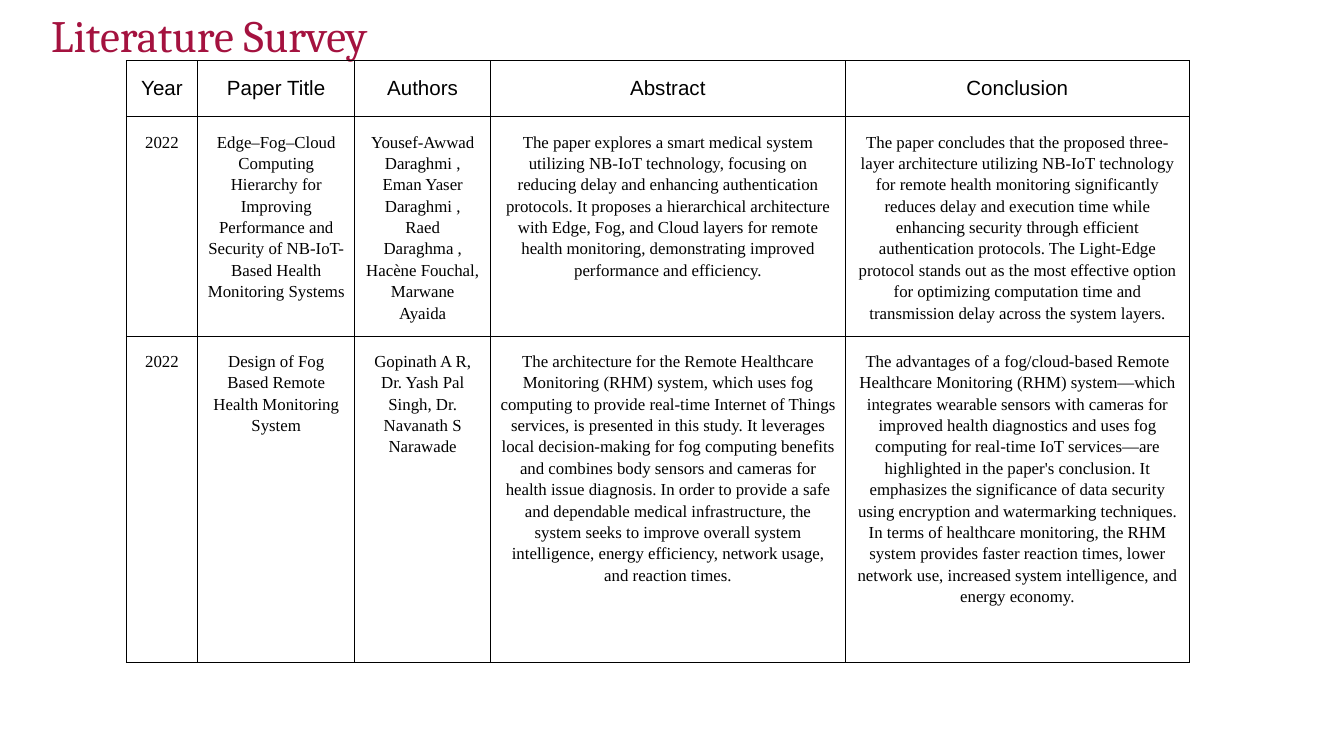
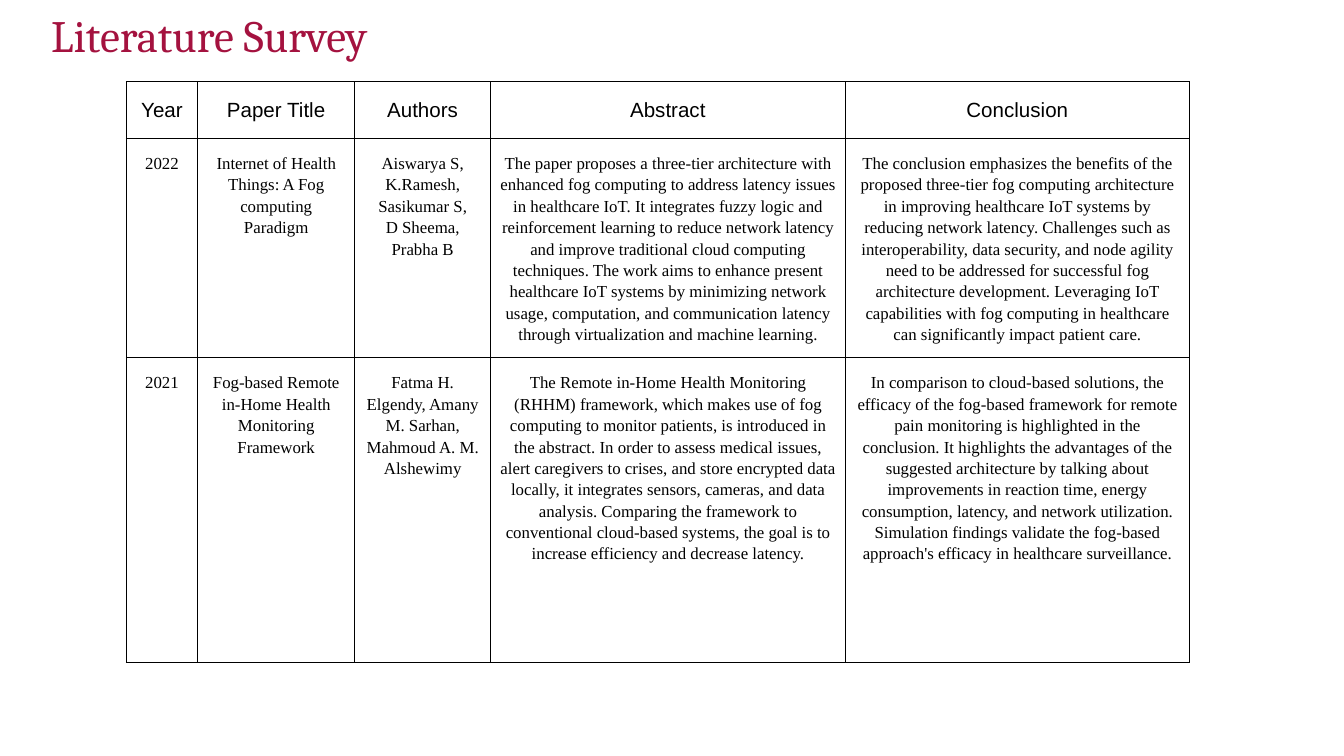
from lxml import etree
from pptx import Presentation
from pptx.dml.color import RGBColor
from pptx.enum import text
from pptx.oxml.ns import qn
from pptx.util import Inches, Pt

COLORS = {"title": "A4123F", "ink": "000000", "border": "000000"}
TITLE = "Literature Survey"
HEADINGS = ("Year", "Paper Title", "Authors", "Abstract", "Conclusion")
COLUMN_WIDTHS = (0.53, 1.17, 1.01, 2.64, 2.56)
TABLE_LEFT = 0.94

SURVEYS = [
    {
        "top": 0.45,
        "row_heights": (0.42, 1.63, 2.43),
        "papers": [
            (
                "2022",
                "Edge–Fog–Cloud Computing Hierarchy for Improving Performance and "
                "Security of NB-IoT-Based Health Monitoring Systems",
                "Yousef-Awwad Daraghmi , Eman Yaser Daraghmi ,\nRaed Daraghma , "
                "Hacène Fouchal, Marwane\nAyaida",
                "The paper explores a smart medical system utilizing NB-IoT technology, "
                "focusing on reducing delay and enhancing authentication protocols. It "
                "proposes a hierarchical architecture with Edge, Fog, and Cloud layers for "
                "remote health monitoring, demonstrating improved performance and efficiency.",
                "The paper concludes that the proposed three-layer architecture utilizing "
                "NB-IoT technology for remote health monitoring significantly reduces delay "
                "and execution time while enhancing security through efficient "
                "authentication protocols. The Light-Edge protocol stands out as the most "
                "effective option for optimizing computation time and transmission delay "
                "across the system layers.",
            ),
            (
                "2022",
                "Design of Fog Based Remote Health Monitoring System",
                "Gopinath A R, Dr. Yash Pal Singh, Dr. Navanath S Narawade",
                "The architecture for the Remote Healthcare Monitoring (RHM) system, which "
                "uses fog computing to provide real-time Internet of Things services, is "
                "presented in this study. It leverages local decision-making for fog "
                "computing benefits and combines body sensors and cameras for health issue "
                "diagnosis. In order to provide a safe and dependable medical "
                "infrastructure, the system seeks to improve overall system intelligence, "
                "energy efficiency, network usage, and reaction times.",
                "The advantages of a fog/cloud-based Remote Healthcare Monitoring (RHM) "
                "system—which integrates wearable sensors with cameras for improved health "
                "diagnostics and uses fog computing for real-time IoT services—are "
                "highlighted in the paper's conclusion. It emphasizes the significance of "
                "data security using encryption and watermarking techniques. In terms of "
                "healthcare monitoring, the RHM system provides faster reaction times, "
                "lower network use, increased system intelligence, and energy economy.",
            ),
        ],
    },
    {
        "top": 0.61,
        "row_heights": (0.42, 1.63, 2.27),
        "papers": [
            (
                "2022",
                "Internet of Health Things: A Fog computing Paradigm",
                "Aiswarya S, K.Ramesh, Sasikumar S,\nD Sheema, Prabha B",
                "The paper proposes a three-tier architecture with enhanced fog computing "
                "to address latency issues in healthcare IoT. It integrates fuzzy logic and "
                "reinforcement learning to reduce network latency and improve traditional "
                "cloud computing techniques. The work aims to enhance present healthcare "
                "IoT systems by minimizing network usage, computation, and communication "
                "latency through virtualization and machine learning.",
                "The conclusion emphasizes the benefits of the proposed three-tier fog "
                "computing architecture in improving healthcare IoT systems by reducing "
                "network latency. Challenges such as interoperability, data security, and "
                "node agility need to be addressed for successful fog architecture "
                "development. Leveraging IoT capabilities with fog computing in healthcare "
                "can significantly impact patient care.",
            ),
            (
                "2021",
                "Fog-based Remote in-Home Health Monitoring Framework",
                "Fatma H. Elgendy, Amany M. Sarhan, Mahmoud A. M. Alshewimy",
                "The Remote in-Home Health Monitoring (RHHM) framework, which makes use of "
                "fog computing to monitor patients, is introduced in the abstract. In order "
                "to assess medical issues, alert caregivers to crises, and store encrypted "
                "data locally, it integrates sensors, cameras, and data analysis. Comparing "
                "the framework to conventional cloud-based systems, the goal is to increase "
                "efficiency and decrease latency.",
                "In comparison to cloud-based solutions, the efficacy of the fog-based "
                "framework for remote pain monitoring is highlighted in the conclusion. It "
                "highlights the advantages of the suggested architecture by talking about "
                "improvements in reaction time, energy consumption, latency, and network "
                "utilization. Simulation findings validate the fog-based approach's "
                "efficacy in healthcare surveillance.",
            ),
        ],
    },
]


def add_run(paragraph, words, font_name, size, color):
    run = paragraph.add_run()
    run.text = words
    run.font.name = font_name
    run.font.size = Pt(size)
    run.font.color.rgb = RGBColor.from_string(COLORS[color])


def set_title(slide):
    title = slide.shapes.title
    title.left, title.top = Inches(0.31), Inches(0.11)
    title.width, title.height = Inches(9.38), Inches(0.35)
    frame = title.text_frame
    frame.auto_size = text.MSO_AUTO_SIZE.NONE
    frame.word_wrap = True
    frame.vertical_anchor = text.MSO_ANCHOR.MIDDLE
    frame.margin_left = frame.margin_right = Inches(0.07)
    frame.margin_top = frame.margin_bottom = Inches(0.04)
    paragraph = frame.paragraphs[0]
    paragraph.alignment = text.PP_ALIGN.LEFT
    paragraph.line_spacing = 0.9
    add_run(paragraph, TITLE, "Cambria", 24, "title")


def set_borders(cell):
    properties = cell._tc.get_or_add_tcPr()
    for position, side in enumerate(("lnL", "lnR", "lnT", "lnB")):
        line = etree.Element(qn(f"a:{side}"), w=str(Pt(0.6)))
        fill = etree.SubElement(line, qn("a:solidFill"))
        etree.SubElement(fill, qn("a:srgbClr"), val=COLORS["border"])
        properties.insert(position, line)


def fill_cell(cell, words, font_name, size):
    cell.fill.background()
    set_borders(cell)
    cell.margin_left = cell.margin_right = Inches(0.07)
    cell.margin_top = cell.margin_bottom = Inches(0.1)
    paragraph = cell.text_frame.paragraphs[0]
    paragraph.alignment = text.PP_ALIGN.CENTER
    paragraph.line_spacing = 1.15
    for number, line in enumerate(words.split("\n")):
        if number:
            paragraph.add_line_break()
        add_run(paragraph, line, font_name, size, "ink")


def add_survey_table(slide, survey):
    rows = [HEADINGS, *survey["papers"]]
    heights = survey["row_heights"]
    table = slide.shapes.add_table(
        len(rows), len(HEADINGS), Inches(TABLE_LEFT), Inches(survey["top"]),
        Inches(sum(COLUMN_WIDTHS)), Inches(sum(heights))).table
    table.first_row = table.horz_banding = False
    for column, width in zip(table.columns, COLUMN_WIDTHS):
        column.width = Inches(width)
    for r, (entries, height) in enumerate(zip(rows, heights)):
        table.rows[r].height = Inches(height)
        style = ("Times New Roman", 9) if r else ("Arial", 11)
        for c, words in enumerate(entries):
            fill_cell(table.cell(r, c), words, *style)


def main():
    deck = Presentation()
    deck.slide_width = Inches(10)
    deck.slide_height = deck.slide_width * 9 // 16
    title_only = deck.slide_layouts[5]
    for survey in SURVEYS:
        slide = deck.slides.add_slide(title_only)
        set_title(slide)
        add_survey_table(slide, survey)
    deck.save("out.pptx")


if __name__ == "__main__":
    main()
